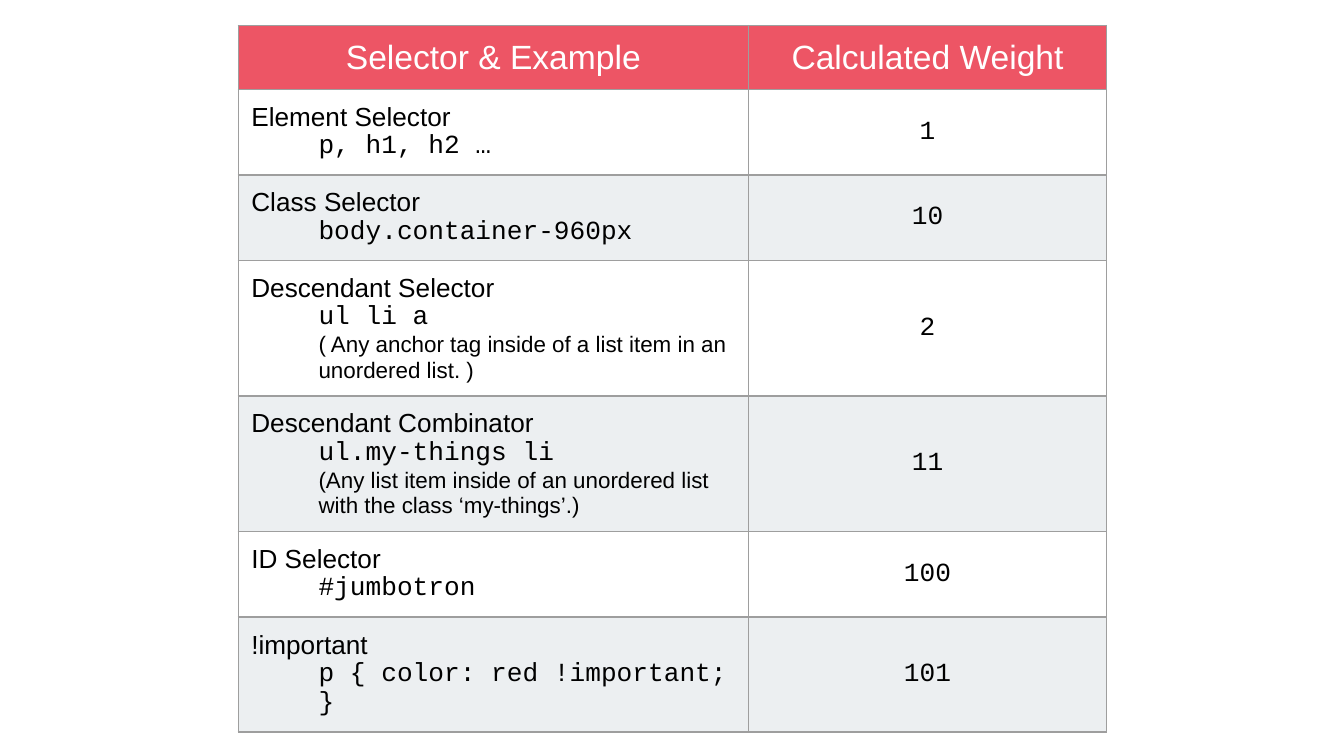
from lxml import etree
from pptx import Presentation
from pptx.dml.color import RGBColor
from pptx.enum.text import MSO_ANCHOR, PP_ALIGN
from pptx.oxml.ns import qn
from pptx.util import Cm, Pt

CENTER, LEFT = PP_ALIGN.CENTER, PP_ALIGN.LEFT
TOP, MIDDLE = MSO_ANCHOR.TOP, MSO_ANCHOR.MIDDLE

CORAL = RGBColor(0xED, 0x55, 0x65)
PALE = RGBColor(0xEC, 0xEF, 0xF1)
WHITE = RGBColor(0xFF, 0xFF, 0xFF)
BLACK = RGBColor(0, 0, 0)
GRID = RGBColor(0x9E, 0x9E, 0x9E)

SANS, MONO = "Arial", "Courier New"
BLANK_LAYOUT = 6

HEADINGS = ("Selector & Example", "Calculated Weight")
# selector, example, explanation (if any), weight
SELECTORS = [
    ("Element Selector", "p, h1, h2 …", None, "1"),
    ("Class Selector", "body.container-960px", None, "10"),
    ("Descendant Selector", "ul li a",
     "( Any anchor tag inside of a list item in an unordered list. )", "2"),
    ("Descendant Combinator", "ul.my-things li",
     "(Any list item inside of an unordered list with the class ‘my-things’.)", "11"),
    ("ID Selector", "#jumbotron", None, "100"),
    ("!important", "p { color: red !important; }", None, "101"),
]


class SlideBuilder:
    padding = Cm(0.25)
    indent = Cm(1.27)
    row_height = Cm(1.07)
    border_width = Pt(0.75)

    def __init__(self, slide):
        self.slide = slide

    def table(self, left, top, column_widths, row_count):
        frame = self.slide.shapes.add_table(
            row_count, len(column_widths), left, top,
            sum(column_widths), self.row_height * row_count)
        table = frame.table
        table.first_row = table.horz_banding = False
        for column, width in zip(table.columns, column_widths):
            column.width = width
        return table

    def cell(self, cell, lines, fill=None, anchor=TOP):
        """Fill a cell with lines, each a dict of arguments for paragraph()."""
        cell.margin_left = cell.margin_right = self.padding
        cell.margin_top = cell.margin_bottom = self.padding
        cell.vertical_anchor = anchor
        if fill is None:
            cell.fill.background()
        else:
            cell.fill.solid()
            cell.fill.fore_color.rgb = fill
        self.borders(cell)
        for index, line in enumerate(lines):
            text_frame = cell.text_frame
            paragraph = text_frame.add_paragraph() if index else text_frame.paragraphs[0]
            self.paragraph(paragraph, **line)

    def paragraph(self, paragraph, text, font=SANS, size=14, color=BLACK,
                  align=LEFT, indented=False):
        paragraph.text = text
        paragraph.alignment = align
        if indented:
            properties = paragraph._p.get_or_add_pPr()
            properties.set("marL", str(self.indent))
            properties.set("indent", "0")
        paragraph.font.name = font
        paragraph.font.size = Pt(size)
        paragraph.font.color.rgb = color

    def borders(self, cell):
        properties = cell._tc.get_or_add_tcPr()
        for index, side in enumerate(("a:lnL", "a:lnR", "a:lnT", "a:lnB")):
            line = etree.Element(qn(side), w=str(self.border_width))
            solid = etree.SubElement(line, qn("a:solidFill"))
            etree.SubElement(solid, qn("a:srgbClr"), val=str(GRID))
            properties.insert(index, line)


def main():
    presentation = Presentation()
    presentation.slide_width, presentation.slide_height = Cm(25.4), Cm(14.29)
    builder = SlideBuilder(
        presentation.slides.add_slide(presentation.slide_layouts[BLANK_LAYOUT]))

    weights = builder.table(Cm(4.5), Cm(0.48), (Cm(9.65), Cm(6.76)), len(SELECTORS) + 1)
    for column, heading in enumerate(HEADINGS):
        builder.cell(weights.cell(0, column),
                     [dict(text=heading, size=18, color=WHITE, align=CENTER)], CORAL)

    for row, (selector, example, explanation, weight) in enumerate(SELECTORS, start=1):
        band = None if row % 2 else PALE
        lines = [dict(text=selector), dict(text=example, font=MONO, indented=True)]
        if explanation:
            lines.append(dict(text=explanation, size=12, indented=True))
        builder.cell(weights.cell(row, 0), lines, band)
        builder.cell(weights.cell(row, 1),
                     [dict(text=weight, font=MONO, align=CENTER)], band, MIDDLE)

    presentation.save("out.pptx")


if __name__ == "__main__":
    main()
